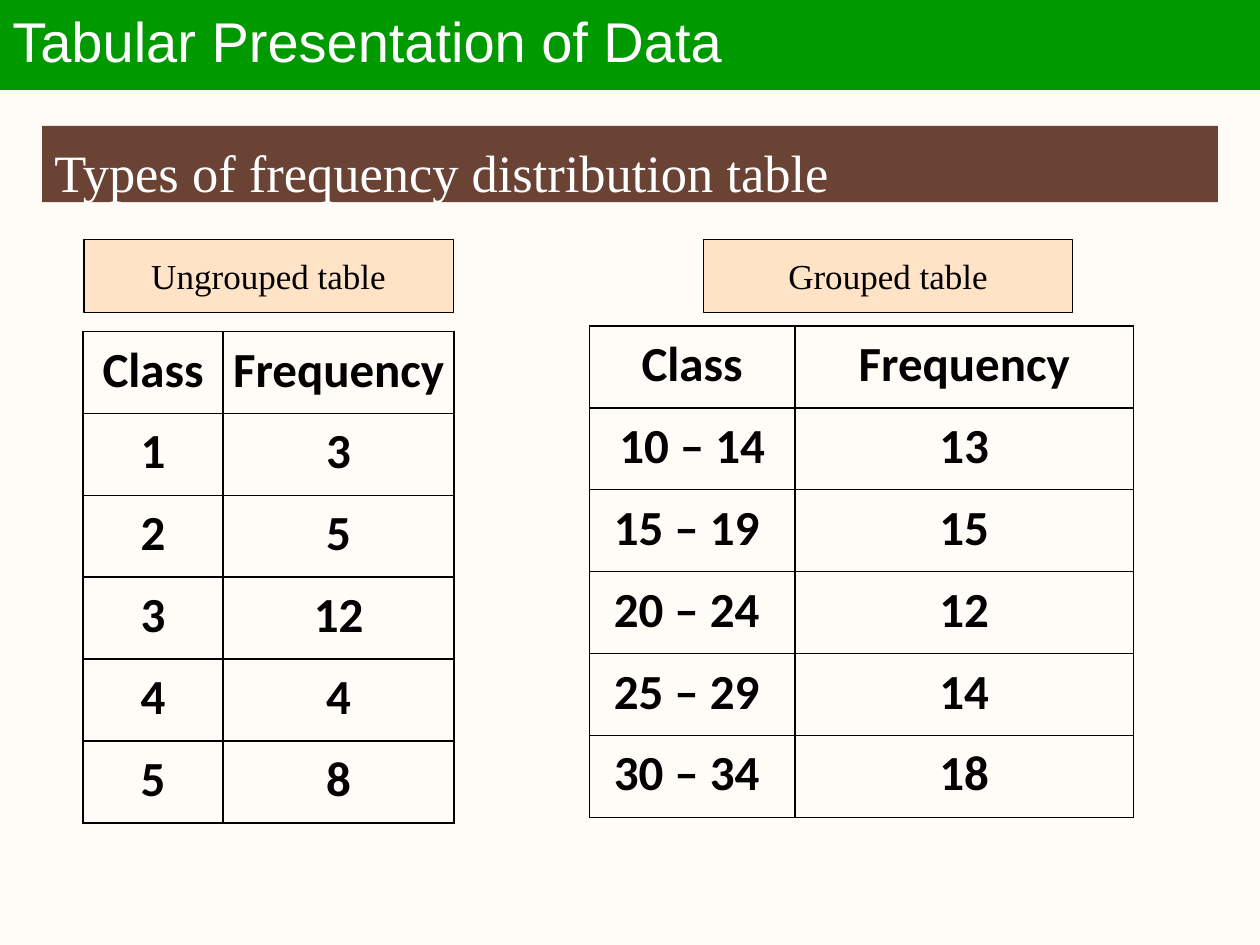
"""Build a slide that compares ungrouped and grouped frequency tables."""
from lxml.etree import SubElement
from pptx import Presentation
from pptx.dml.color import RGBColor
from pptx.enum.shapes import MSO_SHAPE
from pptx.enum.text import MSO_ANCHOR, PP_ALIGN
from pptx.oxml import parse_xml
from pptx.oxml.ns import nsdecls, qn
from pptx.util import Pt

CREAM = RGBColor(0xFF, 0xFC, 0xF7)
GREEN = RGBColor(0x00, 0x99, 0x00)
BROWN = RGBColor(0x6B, 0x43, 0x35)
PEACH = RGBColor(0xFF, 0xCC, 0x99)
BLACK = RGBColor(0, 0, 0)
WHITE = RGBColor(0xFF, 0xFF, 0xFF)

UNGROUPED = [("Class", "Frequency"), ("1", "3"), ("2", "5"),
             ("3", "12"), ("4", "4"), ("5", "8")]
GROUPED = [("Class", "Frequency"), ("10 – 14", "13"), ("15 – 19 ", "15"),
           ("20 – 24 ", "12"), ("25 – 29 ", "14"), ("30 – 34 ", "18")]


def write(tf, text, font="Times New Roman", size=20, color=BLACK, bold=False,
          align=PP_ALIGN.CENTER, spacing=None):
    p = tf.paragraphs[0]
    p.alignment = align
    p.line_spacing = spacing
    r = p.add_run()
    r.text = text
    r.font.name = font
    r.font.size = Pt(size)
    r.font.bold = bold
    r.font.color.rgb = color


class Builder:
    def __init__(self, prs):
        self.s = prs.slides.add_slide(prs.slide_layouts[6])
        fill = self.s.background.fill
        fill.solid()
        fill.fore_color.rgb = CREAM

    def box(self, x, y, w, h, text, fill, line=None, alpha=None,
            anchor=MSO_ANCHOR.MIDDLE, top=3.6, **style):
        sp = self.s.shapes.add_shape(MSO_SHAPE.RECTANGLE, Pt(x), Pt(y), Pt(w), Pt(h))
        sp.shadow.inherit = False
        sp.fill.solid()
        sp.fill.fore_color.rgb = fill
        if alpha is not None:
            color = sp.fill._xPr.find(qn("a:solidFill"))[0]
            SubElement(color, qn("a:alpha"), val=str(alpha * 1000))
        if line is None:
            sp.line.fill.background()
        else:
            sp.line.color.rgb = line
            sp.line.width = Pt(0.75)
        tf = sp.text_frame
        tf.word_wrap = True
        tf.vertical_anchor = anchor
        tf.margin_top = Pt(top)
        write(tf, text, **style)

    def label(self, x, text):
        self.box(x, 136.8, 211, 41.8, text, PEACH, line=BLACK, alpha=50)

    def table(self, x, y, widths, rows, row_height=46.8):
        frame = self.s.shapes.add_table(len(rows), len(widths), Pt(x), Pt(y),
                                        Pt(sum(widths)), Pt(row_height * len(rows)))
        table = frame.table
        table.first_row = table.horz_banding = False
        for column, width in zip(table.columns, widths):
            column.width = Pt(width)
        for i, values in enumerate(rows):
            table.rows[i].height = Pt(row_height)
            for j, text in enumerate(values):
                self.cell(table.cell(i, j), text)

    def cell(self, cell, text):
        cell.margin_left = cell.margin_right = Pt(5)
        cell.margin_top = cell.margin_bottom = 0
        for side in "LRTB":
            cell._tc.get_or_add_tcPr().append(parse_xml(
                f'<a:ln{side} {nsdecls("a")} w="{Pt(1)}"><a:solidFill>'
                f'<a:srgbClr val="{BLACK}"/></a:solidFill></a:ln{side}>'))
        cell.fill.background()
        write(cell.text_frame, text, font="Calibri", size=28, bold=True, spacing=1.15)


def main():
    prs = Presentation()
    prs.slide_width, prs.slide_height = Pt(720), Pt(540)
    b = Builder(prs)
    b.box(24, 72, 672, 43.6, "Types of frequency distribution table", BROWN,
          anchor=MSO_ANCHOR.TOP, top=8, size=30, color=WHITE, align=PP_ALIGN.JUSTIFY)
    b.table(47.5, 189.4, (80, 132), UNGROUPED)
    b.table(336.8, 186.2, (117.4, 193.6), GROUPED)
    b.label(402, "Grouped table")
    b.label(48, "Ungrouped table")
    b.box(0, 0, 720, 51, "Tabular Presentation of Data", GREEN, line=GREEN,
          font="Arial", size=32, color=WHITE, align=PP_ALIGN.LEFT, spacing=0.9)
    prs.save("out.pptx")


if __name__ == "__main__":
    main()
